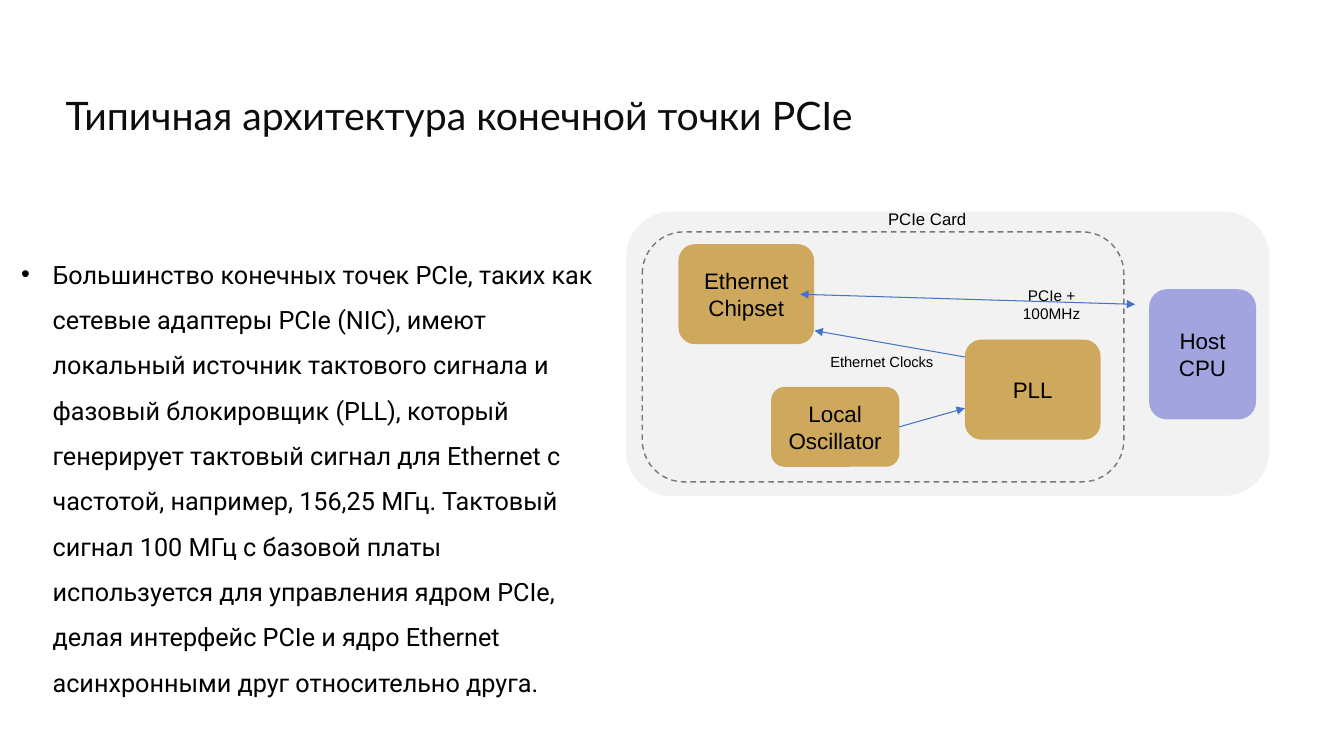
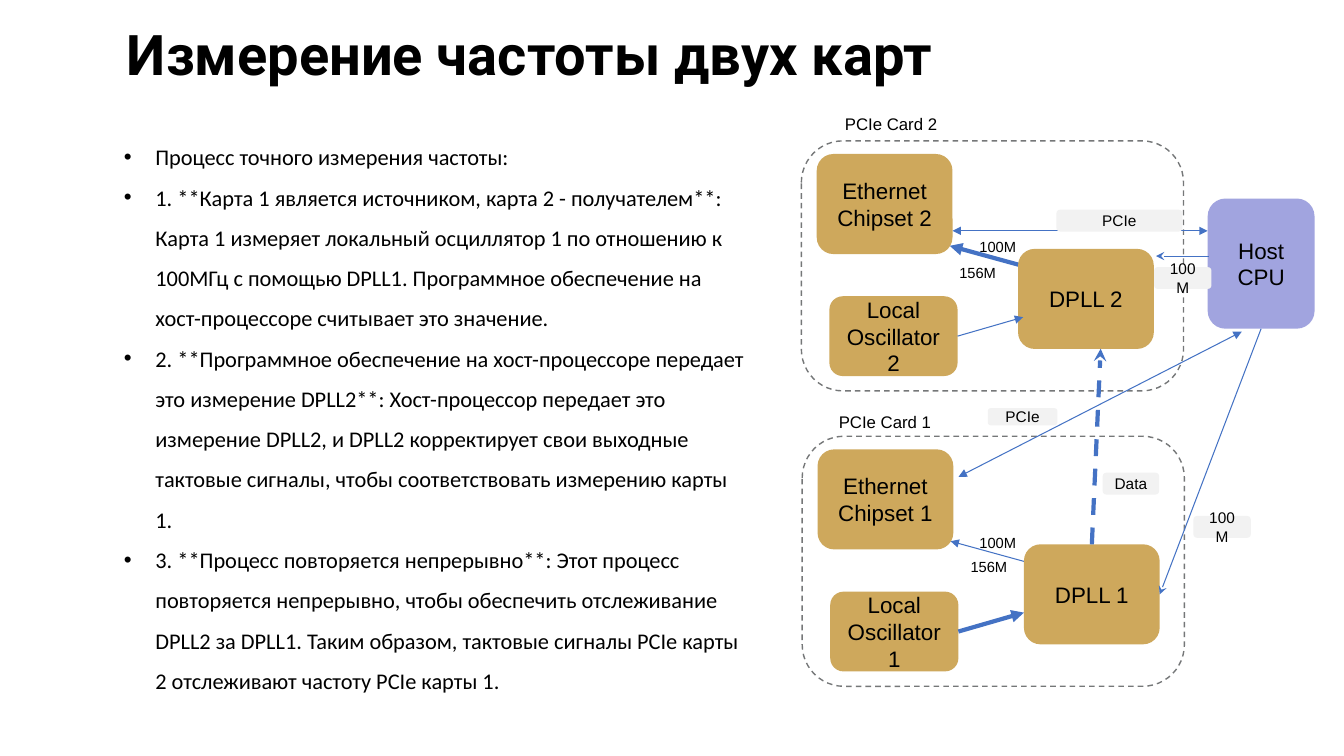
from collections import namedtuple

from lxml import etree
from pptx import Presentation
from pptx.dml.color import RGBColor
from pptx.enum.dml import MSO_LINE
from pptx.enum.shapes import MSO_CONNECTOR, MSO_SHAPE
from pptx.enum.text import MSO_ANCHOR, MSO_AUTO_SIZE, PP_ALIGN
from pptx.oxml.ns import qn
from pptx.util import Pt

ROUNDED = MSO_SHAPE.ROUNDED_RECTANGLE
STRAIGHT = MSO_CONNECTOR.STRAIGHT
DASH = MSO_LINE.DASH
TOP, MIDDLE = MSO_ANCHOR.TOP, MSO_ANCHOR.MIDDLE
LEFT, CENTER = PP_ALIGN.LEFT, PP_ALIGN.CENTER
FIXED = MSO_AUTO_SIZE.NONE
SIDE_TOP, SIDE_BOTTOM, SIDE_RIGHT = 0, 2, 3

COLORS = {
    "black": "000000",
    "title": "0D0D0D",
    "panel": "F2F2F2",
    "chip": "CEA85C",
    "host": "A1A4DF",
    "border": "757778",
    "signal": "4472C4",
}

BLOCK_FONT = {"name": "Arial", "size": Pt(16)}
BADGE_FONT = {"name": "Arial", "size": Pt(11)}
CLOCK_FONT = {"name": "Arial", "size": Pt(10.5)}
CARD_FONT = {"name": "Arial", "size": Pt(12)}

CHIP_SIZE = (97, 71.5)
OSCILLATOR_SIZE = (91.6, 57)
HOST_SIZE = (76.4, 93)
BADGE_HEIGHT = 15.6
CARD_HEIGHT = 178.6
INDENT = Pt(22.5)

Joint = namedtuple("Joint", "shape side")


def rgb(color):
    return RGBColor.from_string(COLORS[color])


def format_font(font, values, color="black"):
    for attribute, value in values.items():
        setattr(font, attribute, value)
    font.color.rgb = rgb(color)


def format_frame(frame, anchor, margin_x=7.2, margin_y=3.6):
    values = {
        "word_wrap": True, "auto_size": FIXED, "vertical_anchor": anchor,
        "margin_left": Pt(margin_x), "margin_right": Pt(margin_x),
        "margin_top": Pt(margin_y), "margin_bottom": Pt(margin_y),
    }
    for attribute, value in values.items():
        setattr(frame, attribute, value)


def write_line(frame, text, font, align, color="black"):
    paragraph = frame.paragraphs[0]
    paragraph.text = text
    paragraph.alignment = align
    format_font(paragraph.font, font, color)
    return paragraph


def titled_slide(deck, text, left, top, font, color):
    slide = deck.slides.add_slide(deck.slide_layouts[5])
    title = slide.shapes.title
    title.left, title.top = Pt(left), Pt(top)
    title.width, title.height = Pt(873.4), Pt(39)
    format_frame(title.text_frame, MIDDLE, 3.6, 1.44)
    write_line(title.text_frame, text, font, LEFT, color).line_spacing = 0.9
    return slide


def add_bullet(paragraph):
    properties = paragraph._p.get_or_add_pPr()
    properties.set("marL", str(INDENT))
    properties.set("indent", str(-INDENT))
    bullet_color = etree.SubElement(properties, qn("a:buClr"))
    etree.SubElement(bullet_color, qn("a:srgbClr"), val=COLORS["black"])
    etree.SubElement(properties, qn("a:buFont"), typeface="Arial")
    etree.SubElement(properties, qn("a:buChar"), char="•")


def bullet_list(slide, box, items, font):
    frame = slide.shapes.add_textbox(*map(Pt, box)).text_frame
    format_frame(frame, TOP)
    for index, item in enumerate(items):
        paragraph = frame.add_paragraph() if index else frame.paragraphs[0]
        paragraph.text = item
        add_bullet(paragraph)
        paragraph.line_spacing = 1.5
        format_font(paragraph.font, font)


def label(slide, text, box, font, align=LEFT):
    frame = slide.shapes.add_textbox(*map(Pt, box)).text_frame
    format_frame(frame, TOP)
    write_line(frame, text, font, align)


def block(slide, box, color, text="", font=BLOCK_FONT):
    shape = slide.shapes.add_shape(ROUNDED, *map(Pt, box))
    shape.shadow.inherit = False
    shape.fill.solid()
    shape.fill.fore_color.rgb = rgb(color)
    shape.line.fill.background()
    if text:
        format_frame(shape.text_frame, MIDDLE)
        write_line(shape.text_frame, text, font, CENTER)
    return shape


def badge(slide, text, left, top, width, height=BADGE_HEIGHT):
    block(slide, (left, top, width, height), "panel", text, BADGE_FONT)


def host_cpu(slide, left, top):
    return block(slide, (left, top, *HOST_SIZE), "host", "Host CPU")


def card_outline(slide, box):
    outline = slide.shapes.add_shape(ROUNDED, *map(Pt, box))
    outline.shadow.inherit = False
    outline.fill.background()
    outline.line.color.rgb = rgb("border")
    outline.line.width = Pt(1)
    outline.line.dash_style = DASH


def signal(slide, start, end, head=None, tail=None, width=0.75, dash=None):
    """Draw a line between two ends, each an (x, y) point or a Joint."""
    points = [(0, 0) if isinstance(spot, Joint) else spot for spot in (start, end)]
    line = slide.shapes.add_connector(STRAIGHT, *(Pt(v) for point in points for v in point))
    if isinstance(start, Joint):
        line.begin_connect(*start)
    if isinstance(end, Joint):
        line.end_connect(*end)
    line.line.color.rgb = rgb("signal")
    line.line.width = Pt(width)
    if dash:
        line.line.dash_style = dash
    stroke = line.line._get_or_add_ln()
    for tag, arrow in (("a:headEnd", head), ("a:tailEnd", tail)):
        if arrow:
            etree.SubElement(stroke, qn(tag), type=arrow)
    etree.SubElement(line._element.spPr, qn("a:effectLst"))


def pcie_card(slide, box, names, offsets, clock_line, feed_end, clock_width=0.75, feed_width=0.75):
    """Draw a card with chipset, oscillator and PLL; inner places are relative to its corner."""
    left, top = box

    def place(point):
        return left + point[0], top + point[1]

    chipset_at, oscillator_at, pll_at = map(place, offsets)
    chipset, oscillator, pll = names
    block(slide, (*chipset_at, *CHIP_SIZE), "chip", chipset)
    oscillator_block = block(slide, (*oscillator_at, *OSCILLATOR_SIZE), "chip", oscillator)
    signal(slide, *map(place, clock_line), tail="triangle", width=clock_width)
    pll_block = block(slide, (*pll_at, *CHIP_SIZE), "chip", pll)
    signal(slide, Joint(oscillator_block, SIDE_RIGHT), place(feed_end),
           tail="triangle", width=feed_width)
    return pll_block


def endpoint_slide(deck):
    slide = titled_slide(deck, "Типичная архитектура конечной точки PCIe", 43.2, 64.8,
                         {"name": "Lato", "size": Pt(28)}, "title")
    bullet_list(slide, (8, 170.6, 430, 334), [
        "Большинство конечных точек PCIe, таких как сетевые адаптеры PCIe (NIC), имеют "
        "локальный источник тактового сигнала и фазовый блокировщик (PLL), который "
        "генерирует тактовый сигнал для Ethernet с частотой, например, 156,25 МГц. "
        "Тактовый сигнал 100 МГц с базовой платы используется для управления ядром PCIe, "
        "делая интерфейс PCIe и ядро Ethernet асинхронными друг относительно друга.",
    ], {"name": "Roboto", "size": Pt(18)})
    backdrop = block(slide, (447.2, 151.2, 459.4, 203), "panel")
    backdrop.adjustments[0] = 0.16
    card_outline(slide, (458.8, 165.6, 344, CARD_HEIGHT))
    pcie_card(slide, (458.8, 165.6), ("Ethernet Chipset", "Local Oscillator", "PLL"),
              [(25.8, 8.8), (92, 110.8), (230.4, 77)],
              [(230.4, 89.4), (123, 70.6)], (230.4, 126))
    label(slide, "Ethernet Clocks", (586, 248.4, 101, 20), CLOCK_FONT)
    badge(slide, "PCIe + 100MHz", 706.2, 209.8, 90)
    label(slide, "PCIe Card", (609, 145.4, 106.6, 21.6), CARD_FONT, CENTER)
    signal(slide, (571.6, 210.2), (810.8, 217.4), "triangle", "triangle")
    host_cpu(slide, 820.8, 206.6)


def two_cards_slide(deck):
    slide = titled_slide(deck, "Измерение частоты двух карт", 87.1, 21.6,
                         {"name": "Roboto", "size": Pt(40), "bold": True}, "black")
    bullet_list(slide, (81.4, 89.3, 459.4, 385), [
        "Процесс точного измерения частоты:",
        "1. **Карта 1 является источником, карта 2 - получателем**: Карта 1 измеряет "
        "локальный осциллятор 1 по отношению к 100МГц с помощью DPLL1. Программное "
        "обеспечение на хост-процессоре считывает это значение.",
        "2. **Программное обеспечение на хост-процессоре передает это измерение DPLL2**: "
        "Хост-процессор передает это измерение DPLL2, и DPLL2 корректирует свои выходные "
        "тактовые сигналы, чтобы соответствовать измерению карты 1.",
        "3. **Процесс повторяется непрерывно**: Этот процесс повторяется непрерывно, чтобы "
        "обеспечить отслеживание DPLL2 за DPLL1. Таким образом, тактовые сигналы PCIe "
        "карты 2 отслеживают частоту PCIe карты 1.",
    ], {"name": "Calibri", "size": Pt(16)})

    host = host_cpu(slide, 862.6, 141.8)
    plls = {}
    for number, left, top, pll_x, clock_width, feed_width in (
        (2, 572.4, 100.6, 154.8, 3, 0.75),
        (1, 573, 311.6, 158.4, 0.75, 3),
    ):
        card_outline(slide, (left, top, 273, CARD_HEIGHT))
        names = [f"{part} {number}" for part in ("Ethernet Chipset", "Local Oscillator", "DPLL")]
        plls[number] = pcie_card(
            slide, (left, top), names, [(11, 9.4), (20, 111), (pll_x, 77.2)],
            [(158.4, 89.4), (106, 75)], (158.4, 126), clock_width, feed_width)

    signal(slide, (680.4, 164.9), (862.6, 164.9), "triangle", "triangle")
    signal(slide, (825.8, 182.9), (863.3, 182.9), head="stealth")
    signal(slide, (887, 236.9), (684.7, 340.6), "triangle", "triangle")
    signal(slide, Joint(plls[1], SIDE_TOP), (786.2, 249.1), tail="stealth", width=3, dash=DASH)
    signal(slide, Joint(plls[1], SIDE_RIGHT), Joint(host, SIDE_BOTTOM), head="stealth")

    for text, left, top, width, height in (
        ("PCIe", 754.6, 149.8, 90, BADGE_HEIGHT),
        ("100M", 824.4, 190.8, 41, BADGE_HEIGHT),
        ("100M", 852.5, 368.6, 41, BADGE_HEIGHT),
        ("Data", 787.7, 337.7, 40.3, BADGE_HEIGHT),
        ("PCIe", 705.6, 291.6, 49.7, 12.2),
    ):
        badge(slide, text, left, top, width, height)
    for text, left, top in (
        ("100M", 692.6, 166.3), ("156M", 678.2, 185),
        ("100M", 692.6, 378), ("156M", 686.2, 394.6),
    ):
        label(slide, text, (left, top, 43.2, 20.9), CLOCK_FONT)
    label(slide, "PCIe Card 2", (583.2, 77.8, 106.6, 21.6), CARD_FONT, CENTER)
    label(slide, "PCIe Card 1", (550.8, 290.9, 162.7, 21.6), CARD_FONT, CENTER)


def main():
    deck = Presentation()
    deck.slide_width, deck.slide_height = Pt(960), Pt(540)
    endpoint_slide(deck)
    two_cards_slide(deck)
    deck.save("out.pptx")


if __name__ == "__main__":
    main()
